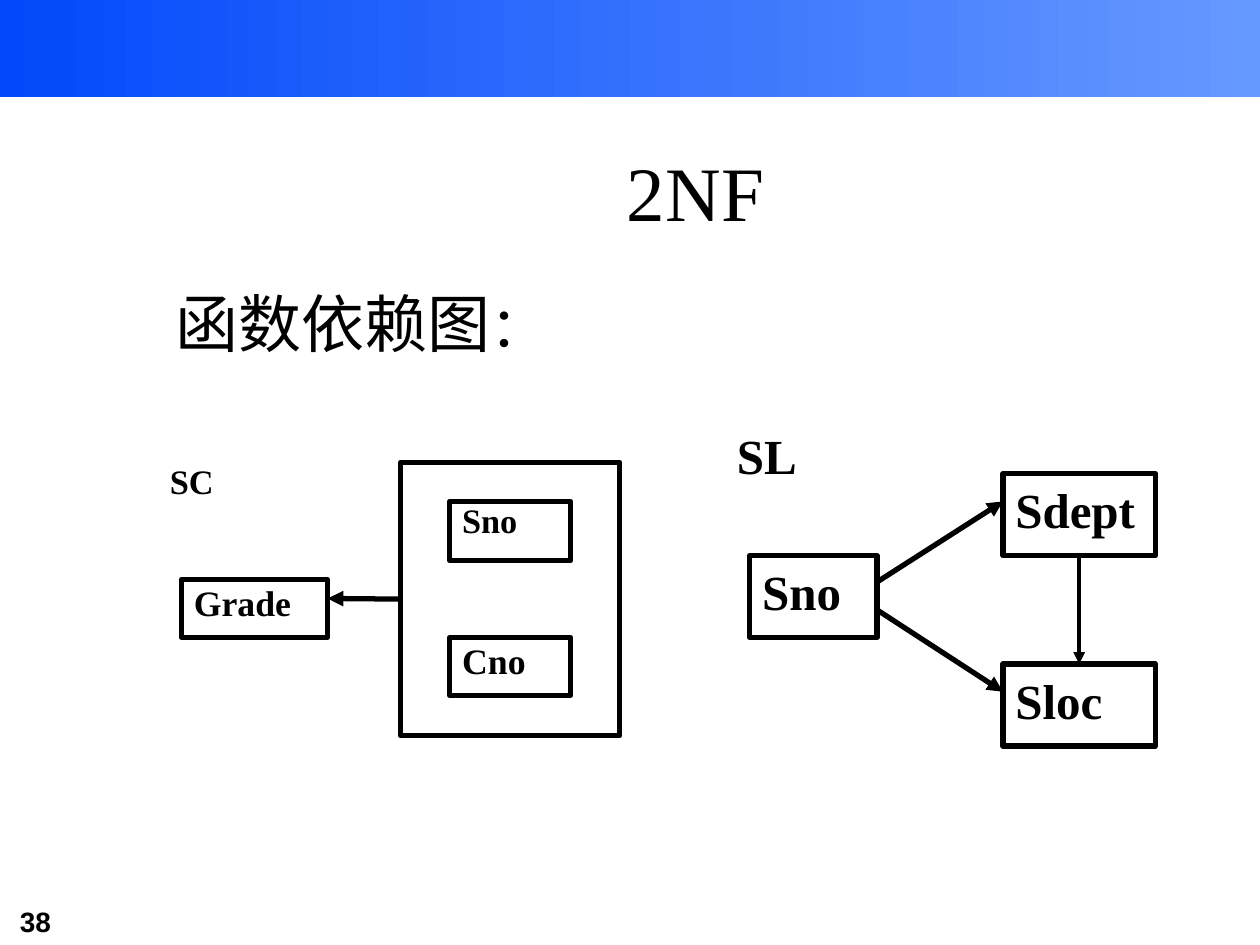
from dataclasses import dataclass

from lxml.etree import SubElement
from pptx import Presentation
from pptx.dml.color import RGBColor
from pptx.enum.shapes import MSO_CONNECTOR, MSO_SHAPE
from pptx.enum.text import MSO_ANCHOR, MSO_AUTO_SIZE, PP_ALIGN
from pptx.oxml.ns import qn
from pptx.util import Inches, Pt


@dataclass(frozen=True)
class Theme:
    ink: RGBColor = RGBColor(0, 0, 0)
    band_from: RGBColor = RGBColor.from_string("0249FA")
    band_to: RGBColor = RGBColor.from_string("6699FF")
    serif: str = "Times New Roman"
    sans: str = "Arial"
    title: float = 44
    body: float = 36
    colon: float = 32
    large: float = 28
    medium: float = 20.4
    small: float = 19.6
    number: float = 16
    line: float = 3
    thin: float = 2.25


class SlideBuilder:
    def __init__(self, prs, theme):
        self.theme = theme
        self.slide = prs.slides.add_slide(prs.slide_layouts[1])
        self.shapes = self.slide.shapes

    def start_group(self):
        self.shapes = self.slide.shapes.add_group_shape().shapes

    def end_group(self):
        self.shapes = self.slide.shapes

    def place(self, sp, at):
        for name, value in zip(("left", "top", "width", "height"), at):
            setattr(sp, name, Inches(value))

    def set_text(self, sp, runs, anchor=MSO_ANCHOR.TOP, bold=False, font=None, **para):
        """Fill a shape with one paragraph made of (text, size) runs."""
        tf = sp.text_frame
        frame = {"word_wrap": True, "auto_size": MSO_AUTO_SIZE.NONE,
                 "vertical_anchor": anchor}
        for name, value in frame.items():
            setattr(tf, name, value)
        p = tf.paragraphs[0]
        for name, value in para.items():
            setattr(p, name, value)
        for text, size in runs:
            r = p.add_run()
            r.text = text
            style = {"size": Pt(size), "bold": bold, "name": font or self.theme.serif}
            for name, value in style.items():
                setattr(r.font, name, value)
            r.font.color.rgb = self.theme.ink
        return p

    def band(self, *at):
        sp = self.shapes.add_shape(MSO_SHAPE.RECTANGLE, *map(Inches, at))
        sp.shadow.inherit = False
        sp.line.fill.background()
        sp.fill.gradient()
        sp.fill.gradient_angle = 0
        colors = (self.theme.band_from, self.theme.band_to)
        for position, (stop, color) in enumerate(zip(sp.fill.gradient_stops, colors)):
            stop.position = position
            stop.color.rgb = color

    def title(self, text, *at):
        sp = self.slide.shapes.title
        self.place(sp, at)
        self.set_text(sp, [(text, self.theme.title)], MSO_ANCHOR.BOTTOM,
                      alignment=PP_ALIGN.CENTER)

    def body(self, runs, *at):
        sp = self.slide.placeholders[1]
        self.place(sp, at)
        p = self.set_text(sp, runs, space_before=Pt(0))
        pPr = p._p.get_or_add_pPr()
        pPr.set("marL", str(Inches(0.38)))
        pPr.set("indent", str(-Inches(0.38)))
        SubElement(pPr, qn("a:buNone"))

    def label(self, text, size, *at, **style):
        sp = self.shapes.add_textbox(*map(Inches, at))
        self.set_text(sp, [(text, size)], bold=True, **style)

    def box(self, text, size, *at, **style):
        sp = self.shapes.add_shape(MSO_SHAPE.RECTANGLE, *map(Inches, at))
        sp.shadow.inherit = False
        sp.fill.background()
        sp.line.color.rgb = self.theme.ink
        sp.line.width = Pt(self.theme.line)
        if text:
            self.set_text(sp, [(text, size)], bold=True,
                          alignment=PP_ALIGN.JUSTIFY, **style)
        return sp

    def arrow(self, *ends, width=None, begin=None, end=None):
        """Draw an arrow; begin and end are optional (shape, side) joints."""
        cxn = self.shapes.add_connector(MSO_CONNECTOR.STRAIGHT, *map(Inches, ends))
        if begin:
            cxn.begin_connect(*begin)
        if end:
            cxn.end_connect(*end)
        cxn.line.color.rgb = self.theme.ink
        cxn.line.width = Pt(width or self.theme.line)
        spPr = cxn._element.spPr
        SubElement(spPr.get_or_add_ln(), qn("a:tailEnd"), type="triangle")
        SubElement(spPr, qn("a:effectLst"))


def main():
    prs = Presentation()
    prs.slide_width, prs.slide_height = Inches(10), Inches(7.5)
    theme = Theme()
    s = SlideBuilder(prs, theme)

    # Header band, page number, title and body
    s.band(0, 0, 10, 0.77)
    s.label("38", theme.number, 0.06, 7.13, 1.22, 0.37, font=theme.sans)
    s.title("2NF", 1.26, 0.68, 8.52, 1.25)
    s.body([("函数依赖图", theme.body), ("：", theme.colon)], 1.29, 2.21, 8.5, 4.5)

    # SC: the key (Sno, Cno) determines Grade
    s.start_group()
    key = s.box("", 0, 3.18, 3.67, 1.74, 2.17)
    s.box("Sno", theme.small, 3.57, 3.98, 0.96, 0.47, line_spacing=0.8)
    s.box("Cno", theme.medium, 3.57, 5.06, 0.96, 0.46, line_spacing=0.9)
    s.box("Grade", theme.medium, 1.44, 4.6, 1.16, 0.46, line_spacing=0.9)
    s.arrow(3.18, 4.75, 2.6, 4.75, begin=(key, 1))
    s.label("SC", theme.small, 1.25, 3.67, 0.97, 0.46,
            alignment=PP_ALIGN.JUSTIFY, line_spacing=0.8)

    # SL: Sno determines Sdept and Sloc
    s.start_group()
    s.label("SL", theme.large, 5.75, 3.33, 1.21, 0.65, alignment=PP_ALIGN.JUSTIFY)
    s.box("Sno", theme.large, 5.95, 4.41, 1.01, 0.65)
    sdept, sloc = (s.box(name, theme.large, 7.96, top, 1.21, 0.65)
                   for name, top in (("Sdept", 3.76), ("Sloc", 5.27)))
    for start, stop in ((4.62, 3.98), (4.84, 5.49)):
        s.arrow(6.96, start, 7.96, stop)

    # Transitive dependency: Sdept determines Sloc
    s.end_group()
    s.arrow(8.57, 4.41, 8.57, 5.27, width=theme.thin,
            begin=(sdept, 2), end=(sloc, 0))

    prs.save("out.pptx")


if __name__ == "__main__":
    main()
